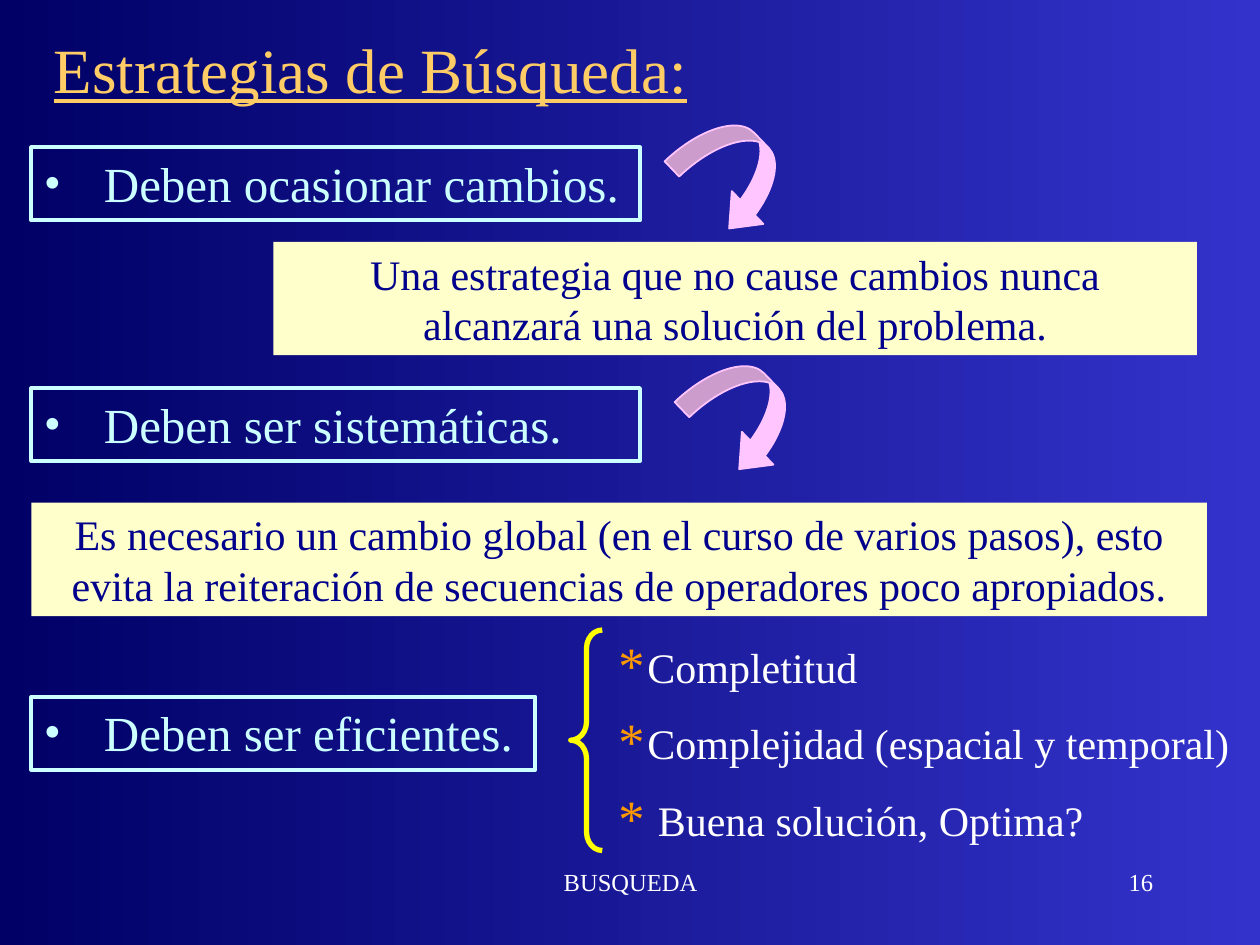
import pptx
import pptx.util
import pptx.dml.color
import pptx.enum.shapes
import pptx.enum.text
import pptx.oxml.ns
from dataclasses import dataclass
from lxml import etree

Inches = pptx.util.Inches
SHAPE = pptx.enum.shapes.MSO_SHAPE
ALIGN = pptx.enum.text.PP_ALIGN
ANCHOR = pptx.enum.text.MSO_ANCHOR


def rgb(code):
    return pptx.dml.color.RGBColor.from_string(code)


@dataclass(frozen=True)
class Theme:
    font: str = "Times New Roman"
    bright_blue: str = "3333CC"
    dark_blue: str = "000066"
    title: str = "FFCC66"
    rule: str = "CCFFFF"
    note_fill: str = "FFFFCC"
    note_text: str = "00008C"
    arrow: str = "FFC5FF"
    brace: str = "FFFF00"
    star: str = "FF9900"
    plain: str = "FFFFFF"
    title_size: int = 36
    rule_size: int = 28
    note_size: int = 24
    footer_size: int = 14


class SlideBuilder:
    def __init__(self, slide, theme):
        self.slide = slide
        self.theme = theme

    def background(self):
        fill = self.slide.background.fill
        fill.gradient()
        fill.gradient_angle = 180
        for stop, color in zip(fill.gradient_stops,
                               (self.theme.bright_blue, self.theme.dark_blue)):
            stop.color.rgb = rgb(color)

    def shape(self, kind, box, fill=None, line=None, width=1):
        shape = self.slide.shapes.add_shape(kind, *map(Inches, box))
        shape.shadow.inherit = False
        if fill:
            shape.fill.solid()
            shape.fill.fore_color.rgb = rgb(fill)
        else:
            shape.fill.background()
        if line:
            shape.line.color.rgb = rgb(line)
            shape.line.width = pptx.util.Pt(width)
        else:
            shape.line.fill.background()
        return shape

    def set_lines(self, shape, lines, size, color, align=ALIGN.LEFT,
                  anchor=ANCHOR.TOP, before=0, bullet=None, underline=None):
        frame = shape.text_frame
        frame.word_wrap = True
        frame.vertical_anchor = anchor
        for index, line in enumerate(lines):
            paragraph = frame.add_paragraph() if index else frame.paragraphs[0]
            paragraph.text = line
            paragraph.alignment = align
            if index:
                paragraph.space_before = pptx.util.Pt(before)
            if bullet:
                self.bullet(paragraph, *bullet)
            font = paragraph.font
            font.name = self.theme.font
            font.size = pptx.util.Pt(size)
            font.color.rgb = rgb(color)
            font.underline = underline

    def bullet(self, paragraph, char, color, percent, indent):
        qn = pptx.oxml.ns.qn
        properties = paragraph._p.get_or_add_pPr()
        properties.set("marL", str(Inches(indent)))
        properties.set("indent", str(-Inches(indent)))
        bullet_color = etree.SubElement(properties, qn("a:buClr"))
        etree.SubElement(bullet_color, qn("a:srgbClr"), val=color)
        etree.SubElement(properties, qn("a:buSzPct"), val=str(percent * 1000))
        etree.SubElement(properties, qn("a:buFont"), typeface=self.theme.font)
        etree.SubElement(properties, qn("a:buChar"), char=char)

    def text(self, box, lines, size, color, **style):
        textbox = self.slide.shapes.add_textbox(*map(Inches, box))
        self.set_lines(textbox, lines, size, color, **style)

    def rule(self, top, width, line):
        t = self.theme
        frame = self.shape(SHAPE.RECTANGLE, (0.25, top, width, 0.58),
                           line=t.rule, width=2.25)
        self.set_lines(frame, [line], t.rule_size, t.rule,
                       bullet=("•", t.rule, 100, 0.38))

    def note(self, left, top, width, line):
        t = self.theme
        panel = self.shape(SHAPE.RECTANGLE, (left, top, width, 0.9), fill=t.note_fill)
        self.set_lines(panel, [line], t.note_size, t.note_text, align=ALIGN.CENTER)

    def curved_arrow(self, left, top):
        t = self.theme
        arrow = self.shape(SHAPE.CURVED_LEFT_ARROW, (left, top, 0.67, 0.92),
                           fill=t.arrow, line=t.arrow)
        arrow.rotation = 316.1
        for index, value in enumerate((0.25, 0.54, 0.33)):
            arrow.adjustments[index] = value

    def brace(self, box):
        brace = self.shape(SHAPE.LEFT_BRACE, box, line=self.theme.brace, width=3)
        brace.adjustments[0] = 0.58


def main():
    presentation = pptx.Presentation()
    presentation.slide_width = Inches(10)
    presentation.slide_height = Inches(7.5)
    theme = Theme()
    slide = presentation.slides.add_slide(presentation.slide_layouts[6])
    page = SlideBuilder(slide, theme)
    page.background()

    # Title
    page.text((0.33, 0.17, 5.25, 0.75), ["Estrategias de Búsqueda:"],
              theme.title_size, theme.title, anchor=ANCHOR.MIDDLE, underline=True)

    # Requirements and their explanations
    page.rule(1.17, 4.83, " Deben ocasionar cambios.")
    page.note(2.17, 1.92, 7.33,
              "Una estrategia que no cause cambios nunca alcanzará "
              "una solución del problema.")
    page.rule(3.08, 4.83, " Deben ser sistemáticas.")
    page.note(0.25, 3.99, 9.33,
              "Es necesario un cambio global (en el curso de varios pasos), esto "
              "evita la reiteración de secuencias de operadores poco apropiados.")
    page.curved_arrow(5.58, 2.83)
    page.curved_arrow(5.5, 0.92)

    # Efficiency criteria
    page.rule(5.53, 4, " Deben ser eficientes.")
    page.text((4.81, 5.04, 5.08, 1.72),
              ["Completitud", "Complejidad (espacial y temporal)",
               " Buena solución, Optima?"],
              theme.note_size, theme.plain, before=15,
              bullet=("*", theme.star, 125, 0.23))
    page.brace((4.53, 5, 0.25, 1.75))

    # Footer
    page.text((3.42, 6.83, 3.17, 0.5), ["BUSQUEDA"],
              theme.footer_size, theme.plain, align=ALIGN.CENTER)
    page.text((7.17, 6.83, 2.08, 0.5), ["16"],
              theme.footer_size, theme.plain, align=ALIGN.RIGHT)

    presentation.save("out.pptx")


if __name__ == "__main__":
    main()
